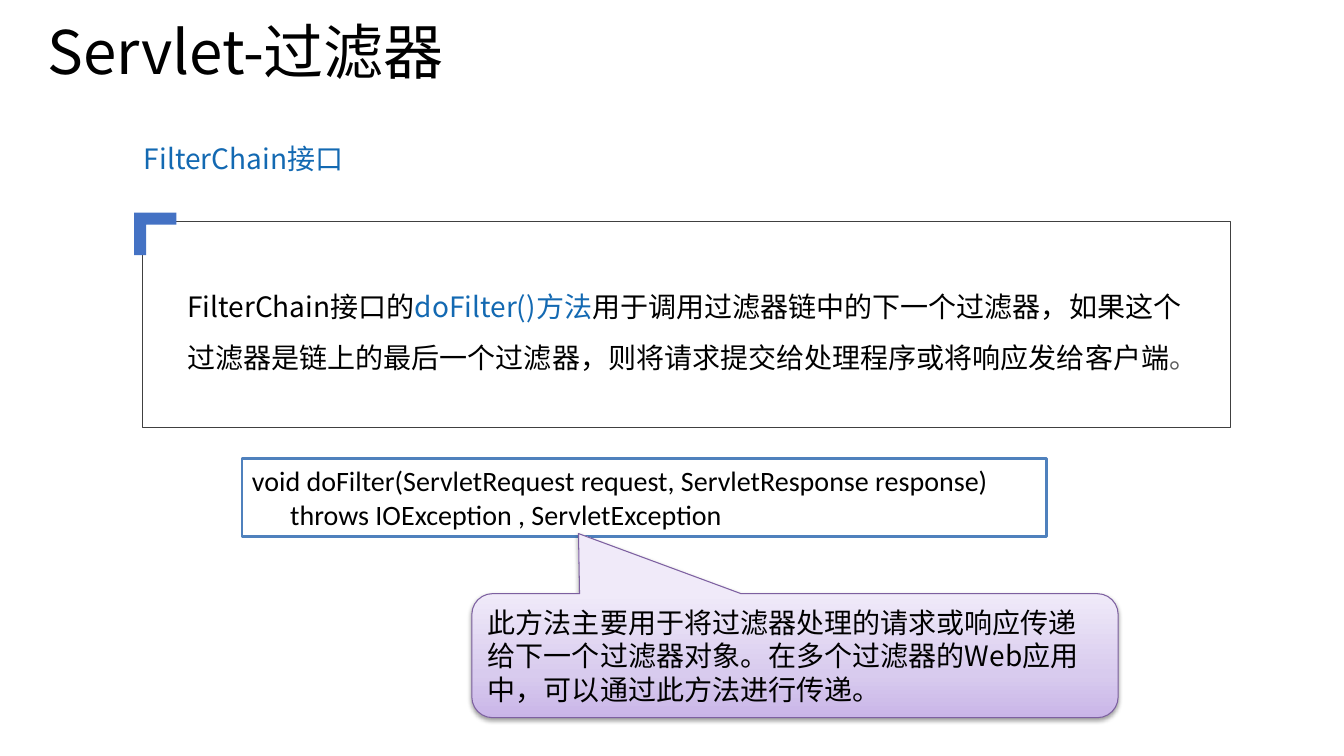
from pptx import Presentation
from pptx.dml.color import RGBColor
from pptx.enum.shapes import MSO_SHAPE as Shape
from pptx.enum.text import MSO_ANCHOR as Anchor, MSO_AUTO_SIZE as AutoSize, PP_ALIGN as Align
from pptx.oxml import parse_xml
from pptx.oxml.ns import nsdecls
from pptx.util import Pt

EMU_PER_PX = 9144  # 100 px to the inch
CJK_FONT = "Noto Sans CJK SC"
CODE_FONT = "Calibri"
COLOURS = {
    "black": "000000",
    "white": "FFFFFF",
    "link": "1369B2",
    "grey": "595959",
    "frame": "404040",
    "corner": "4472C4",
    "code_line": "4F81BD",
    "callout_line": "7D60A0",
}
CALLOUT_STOPS = [(0, "C9B5E8"), (35, "D8CBEE"), (100, "F0EAF9")]


def px(*lengths):
    return [length * EMU_PER_PX for length in lengths]


def rgb(name):
    return RGBColor.from_string(COLOURS[name])


def write(frame, spans, size=20, font=CJK_FONT, anchor=Anchor.TOP, spacing=None):
    """Fill a text frame with one left-aligned paragraph of (text, colour) spans."""
    frame.word_wrap = True
    frame.auto_size = AutoSize.NONE
    frame.vertical_anchor = anchor
    para = frame.paragraphs[0]
    para.alignment = Align.LEFT
    if spacing:
        para.line_spacing = spacing
    for text, colour in spans:
        span = para.add_run()
        span.text = text
        span.font.size = Pt(size)
        span.font.name = font
        span.font.color.rgb = rgb(colour)
        span.font._element.append(
            parse_xml(f'<a:ea {nsdecls("a")} typeface="{CJK_FONT}"/>'))
    return para


def add_text(page, bounds, spans, **style):
    box = page.shapes.add_textbox(*px(*bounds))
    write(box.text_frame, spans, **style)


def add_outlined(page, kind, bounds, line, width, fill=None):
    box = page.shapes.add_shape(kind, *px(*bounds))
    box.shadow.inherit = False
    if fill:
        box.fill.solid()
        box.fill.fore_color.rgb = rgb(fill)
    else:
        box.fill.background()
    box.line.color.rgb = rgb(line)
    box.line.width = Pt(width)
    return box


def add_corner(page, left, top, side, thickness):
    right, bottom = left + side, top + side
    inner_left, inner_top = left + thickness, top + thickness
    builder = page.shapes.build_freeform(left, top, scale=EMU_PER_PX)
    builder.add_line_segments([
        (right, top), (right, inner_top), (inner_left, inner_top),
        (inner_left, bottom), (left, bottom)])
    corner = builder.convert_to_shape()
    corner.shadow.inherit = False
    corner.fill.solid()
    corner.fill.fore_color.rgb = rgb("corner")
    corner.line.fill.background()


def add_code(page, bounds, lines, hang):
    """Draw a code box whose continuation lines are indented by hang px."""
    box = add_outlined(page, Shape.RECTANGLE, bounds, "code_line", 2, "white")
    para = write(box.text_frame, [], anchor=Anchor.MIDDLE)
    para.text = "\v".join(lines)
    for span in para.runs:
        span.font.size = Pt(20)
        span.font.name = CODE_FONT
        span.font.color.rgb = rgb("black")
    indent = hang * EMU_PER_PX
    properties = para._p.get_or_add_pPr()
    properties.set("marL", str(indent))
    properties.set("indent", str(-indent))


def add_callout(page, bounds, text):
    box = add_outlined(page, Shape.ROUNDED_RECTANGULAR_CALLOUT, bounds,
                       "callout_line", 0.75, "white")
    for index, value in enumerate((-0.335, -0.985, 0.167)):
        box.adjustments[index] = value
    stops = "".join(
        f'<a:gs pos="{place * 1000}"><a:srgbClr val="{colour}"/></a:gs>'
        for place, colour in CALLOUT_STOPS)
    gradient = parse_xml(
        f'<a:gradFill {nsdecls("a")} rotWithShape="1"><a:gsLst>{stops}</a:gsLst>'
        '<a:lin ang="16200000" scaled="0"/></a:gradFill>')
    properties = box._element.spPr
    properties.replace(properties.find("{*}solidFill"), gradient)
    properties.find("{*}effectLst").append(parse_xml(
        f'<a:outerShdw {nsdecls("a")} blurRad="{Pt(3.1)}" dist="{Pt(1.6)}" '
        'dir="5400000" rotWithShape="0"><a:srgbClr val="000000">'
        '<a:alpha val="38000"/></a:srgbClr></a:outerShdw>'))
    write(box.text_frame, [(text, "black")], anchor=Anchor.MIDDLE)


def add_title(page, bounds, text):
    title = page.shapes.title
    title.left, title.top, title.width, title.height = px(*bounds)
    write(title.text_frame, [(text, "black")], size=42.9,
          anchor=Anchor.MIDDLE, spacing=0.9)


def main():
    deck = Presentation()
    deck.slide_width, deck.slide_height = px(1333, 750)
    page = deck.slides.add_slide(deck.slide_layouts[5])

    add_title(page, (37, 16, 569, 78), "Servlet-过滤器")
    add_text(page, (133, 135, 220, 44), [("FilterChain接口", "link")])
    add_text(page, (176, 266, 1008, 111), [
        ("FilterChain接口的", "black"),
        ("doFilter()方法", "link"),
        ("用于调用过滤器链中的下一个过滤器，如果这个过滤器是链上的最后一个过滤器，"
         "则将请求提交给处理程序或将响应发给客户端", "black"),
        ("。", "grey"),
    ], spacing=1.5)
    add_outlined(page, Shape.RECTANGLE, (141, 219, 1079, 205), "frame", 0.25)
    add_corner(page, 133, 211, side=42, thickness=12)
    add_code(page, (240, 455, 798, 77), [
        "void doFilter(ServletRequest request, ServletResponse response)",
        "throws IOException , ServletException",
    ], hang=38)
    add_callout(page, (468, 589, 641, 123),
                "此方法主要用于将过滤器处理的请求或响应传递给下一个过滤器对象。"
                "在多个过滤器的Web应用中，可以通过此方法进行传递。")
    deck.save("out.pptx")


if __name__ == "__main__":
    main()
